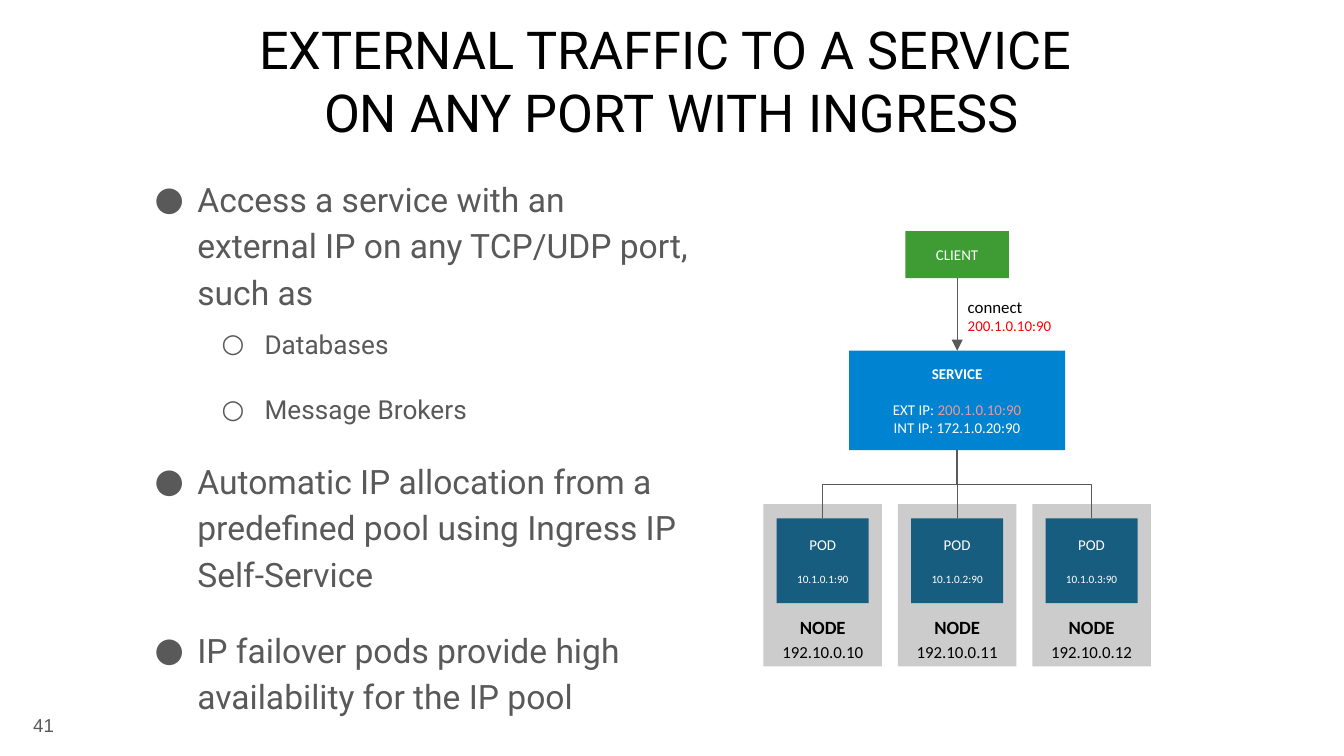
from lxml.etree import SubElement as Sub
from pptx import Presentation
from pptx.dml.color import RGBColor
from pptx.enum.shapes import MSO_CONNECTOR as Link, MSO_SHAPE as Kind
from pptx.enum.text import MSO_ANCHOR as Anchor, MSO_AUTO_SIZE as Auto, PP_ALIGN as Align
from pptx.oxml.ns import qn
from pptx.util import Cm, Pt

BLACK = RGBColor(0x00, 0x00, 0x00)
WHITE = RGBColor(0xFF, 0xFF, 0xFF)
GRAY = RGBColor(0x59, 0x59, 0x59)
SILVER = RGBColor(0xCC, 0xCC, 0xCC)
GREEN = RGBColor(0x3F, 0x9C, 0x35)
BLUE = RGBColor(0x00, 0x84, 0xD1)
NAVY = RGBColor(0x16, 0x5D, 0x80)
RED = RGBColor(0xFF, 0x00, 0x00)
PINK = RGBColor(0xEA, 0x99, 0x99)

LIGHT = dict(name="Calibri", size=Pt(8), bold=False, rgb=WHITE)
DARK = dict(LIGHT, size=Pt(9), rgb=BLACK)
TITLE = dict(name="Roboto", size=Pt(28), rgb=BLACK)
ITEM = dict(name="Roboto", size=Pt(18), rgb=GRAY)
COUNT = dict(name="Arial", size=Pt(10), rgb=GRAY)

POINTS = [
    (0, 0, "Access a service with an external IP on any TCP/UDP port, such as"),
    (1, 6, "Databases"),
    (1, 16, "Message Brokers"),
    (0, 16, "Automatic IP allocation from a predefined pool using Ingress IP Self-Service"),
    (0, 16, "IP failover pods provide high availability for the IP pool"),
]
LEVELS = [("●", 1.27, 18), ("○", 2.54, 14)]
NODES = [
    ("10.1.0.1:90", "192.10.0.10"),
    ("10.1.0.2:90", "192.10.0.11"),
    ("10.1.0.3:90", "192.10.0.12"),
]


def style(item, values):
    for key, value in values.items():
        if key == "rgb":
            item.color.rgb = value
        else:
            setattr(item, key, value)


def place(shape, box):
    for key, value in zip(("left", "top", "width", "height"), box):
        setattr(shape, key, Cm(value))


def frame(shape, anchor):
    text = shape.text_frame
    style(text, dict(word_wrap=True, auto_size=Auto.NONE, vertical_anchor=anchor))
    for side in ("left", "top", "right", "bottom"):
        setattr(text, "margin_" + side, Cm(0.25))
    return text


def write(shape, rows, align=Align.CENTER, anchor=Anchor.MIDDLE, lead=1.0):
    text = frame(shape, anchor)
    for i, (gap, runs) in enumerate(rows):
        para = text.add_paragraph() if i else text.paragraphs[0]
        style(para, dict(alignment=align, line_spacing=lead, space_before=Pt(gap)))
        for words, look in runs:
            run = para.add_run()
            run.text = words
            style(run.font, look)


def block(slide, box, fill):
    shape = slide.shapes.add_shape(Kind.RECTANGLE, *map(Cm, box))
    shape.shadow.inherit = False
    shape.fill.solid()
    shape.fill.fore_color.rgb = fill
    shape.line.fill.background()
    return shape


def label(slide, box, rows, **look):
    write(slide.shapes.add_textbox(*map(Cm, box)), rows, **look)


def wire(slide, kind, ends):
    line = slide.shapes.add_connector(kind, *map(Cm, ends))
    line.line.color.rgb = GRAY
    line.line.width = Pt(0.75)
    Sub(line._element.spPr, qn("a:effectLst"))
    return line


def arrow(slide, ends):
    line = wire(slide, Link.STRAIGHT, ends)
    Sub(line.line._get_or_add_ln(), qn("a:tailEnd"), type="triangle")


def branch(slide, x, y, end, low):
    if abs(end - x) < 0.05:
        wire(slide, Link.STRAIGHT, (x, y, x, low))
        return
    mid, half = (x + end) / 2, (low - y) / 2
    side = 1 if end > x else -1
    tall = abs(end - x) / 2
    level = (y + low) / 2
    line = wire(slide, Link.ELBOW,
                (mid + side * half, level - tall, mid - side * half, level + tall))
    turn = 270 if side > 0 else 90
    line._element.spPr.find(qn("a:xfrm")).set("rot", str(turn * 60000))


def head(slide, box):
    shape = slide.shapes.title
    place(shape, box)
    words = "EXTERNAL TRAFFIC TO A SERVICE \vON ANY PORT WITH INGRESS"
    frame(shape, Anchor.BOTTOM).text = words
    para = shape.text_frame.paragraphs[0]
    para.alignment = Align.CENTER
    for run in para.runs:
        style(run.font, TITLE)


def points(slide, box):
    shape = slide.placeholders[1]
    place(shape, box)
    rows = [(gap, [(words, dict(ITEM, size=Pt(LEVELS[level][2])))])
            for level, gap, words in POINTS]
    write(shape, rows, Align.LEFT, Anchor.TOP, 1.15)
    for para, (level, gap, words) in zip(shape.text_frame.paragraphs, POINTS):
        mark, left, size = LEVELS[level]
        para.level = level
        props = para._p.get_or_add_pPr()
        props.set("marL", str(Cm(left)))
        props.set("indent", str(Cm(-0.81)))
        Sub(Sub(props, qn("a:buClr")), qn("a:srgbClr"), val=str(GRAY))
        Sub(props, qn("a:buFont"), typeface="Roboto")
        Sub(props, qn("a:buChar"), char=mark)
        style(para.font, dict(ITEM, size=Pt(size)))


def node(slide, box, pod, host):
    x, y, w, h = box
    block(slide, box, SILVER)
    label(slide, (x + 0.04, y + 1.8, w - 0.08, 1.17),
          [(0, [("NODE", dict(DARK, size=Pt(10), bold=True))]), (0, [(host, DARK)])],
          anchor=Anchor.TOP, lead=1.15)
    write(block(slide, (x + 0.25, y + 0.27, w - 0.5, 1.6), NAVY),
          [(0, [("POD", LIGHT)]), (10, [(pod, dict(LIGHT, size=Pt(6)))])])


def flow(slide, box):
    x, y, w, h = box
    mid = x + w / 2
    step, wide, tall = 2.54, 2.24, 3.07
    row = y + h - tall
    for i, (pod, host) in enumerate(NODES):
        node(slide, (x + i * step, row, wide, tall), pod, host)
    write(block(slide, (mid - 0.98, y, 1.96, 0.89), GREEN), [(0, [("CLIENT", LIGHT)])])
    write(block(slide, (mid - 2.04, y + 2.26, 4.08, 1.88), BLUE), [
        (0, [("SERVICE", dict(LIGHT, bold=True))]),
        (10, [("EXT IP: ", LIGHT), ("200.1.0.10:90", dict(LIGHT, rgb=PINK))]),
        (0, [("INT IP: 172.1.0.20:90", LIGHT)]),
    ])
    for i in range(len(NODES)):
        branch(slide, mid, y + 4.14, x + i * step + wide / 2, row + 0.27)
    label(slide, (mid - 0.05, y + 0.99, 3.07, 1.17),
          [(0, [("connect", DARK)]),
           (0, [("200.1.0.10:90", dict(LIGHT, rgb=RED))])],
          align=Align.LEFT, anchor=Anchor.TOP)
    arrow(slide, (mid, y + 0.89, mid, y + 2.26))


def main():
    deck = Presentation()
    deck.slide_width, deck.slide_height = Cm(25.4), Cm(14.29)
    slide = deck.slides.add_slide(deck.slide_layouts[1])
    head(slide, (2.29, 0, 20.8, 2.95))
    points(slide, (2.21, 3.02, 11.05, 8.26))
    flow(slide, (14.43, 4.37, 7.32, 8.23))
    label(slide, (0.28, 13.16, 0.99, 1.09), [(0, [("41", COUNT)])], align=Align.RIGHT)
    deck.save("out.pptx")


if __name__ == "__main__":
    main()
